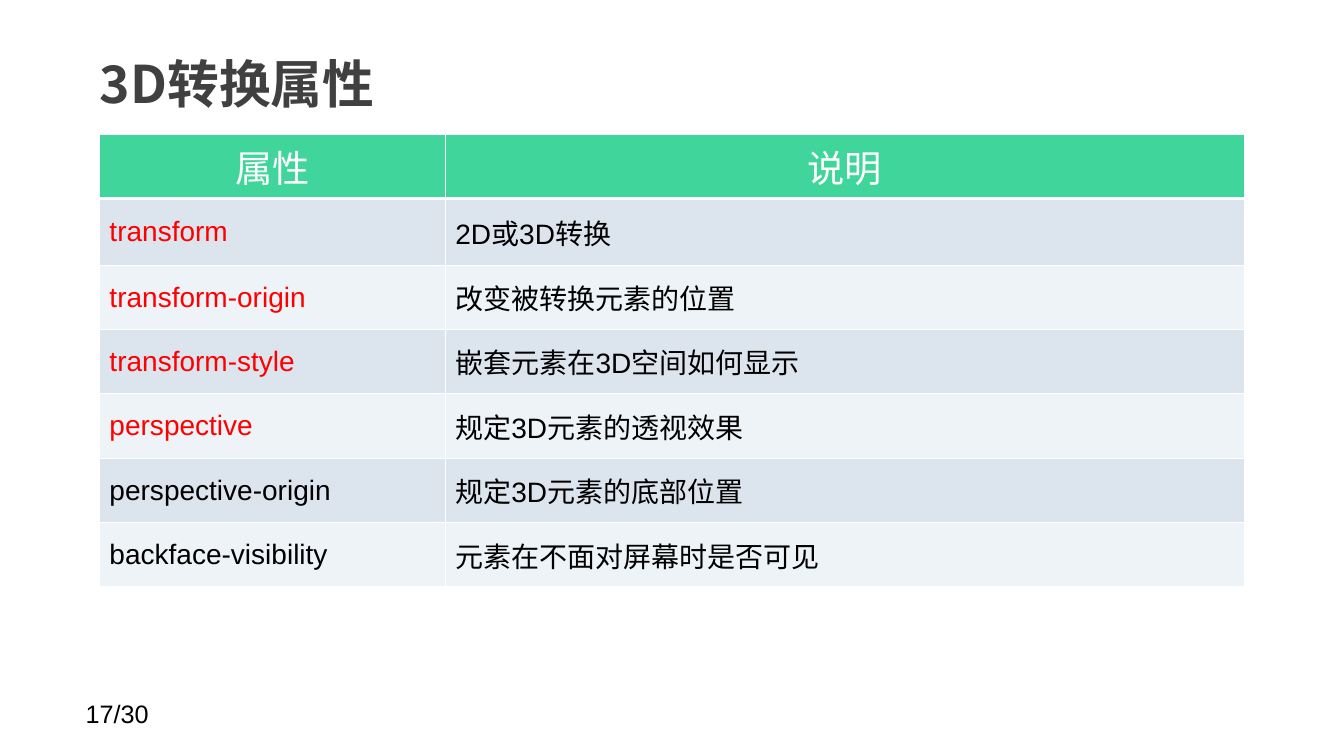
from dataclasses import dataclass

from lxml import etree
from pptx import Presentation
from pptx.dml.color import RGBColor
from pptx.enum import text as t
from pptx.oxml import ns
from pptx.util import Pt


@dataclass(frozen=True)
class Theme:
    latin: str = "Arial"
    chinese: str = "Noto Sans CJK SC"
    black: str = "000000"
    white: str = "FFFFFF"
    title: str = "404040"
    key: str = "FF0000"
    header: str = "40D59B"
    bands: tuple = ("DCE5EE", "EEF3F7")
    title_size: float = 37
    header_size: float = 26.6
    body_size: float = 20
    page_size: float = 18


theme = Theme()


def write(frame, text, size, color=theme.black, font=theme.latin, bold=False,
          align=t.PP_ALIGN.LEFT, before=0, margins=(9.4, 5)):
    """Put one formatted line of text into a text frame."""
    frame.margin_left = frame.margin_right = Pt(margins[0])
    frame.margin_top = frame.margin_bottom = Pt(margins[1])
    frame.word_wrap = True
    para = frame.paragraphs[0]
    para.alignment = align
    para.space_before = Pt(before)
    span = para.add_run()
    span.text = text
    span.font.size = Pt(size)
    span.font.bold = bold
    span.font.name = font
    span.font.color.rgb = RGBColor.from_string(color)
    east_asian = etree.SubElement(span.font._element, ns.qn("a:ea"))
    east_asian.set("typeface", theme.chinese)


def set_borders(cell, bottom):
    """Draw white cell borders, with the bottom width in points."""
    properties = cell._tc.get_or_add_tcPr()
    widths = {"lnL": 1, "lnR": 1, "lnT": 1, "lnB": bottom}
    for index, (side, width) in enumerate(widths.items()):
        line = etree.Element(ns.qn(f"a:{side}"), w=str(Pt(width)))
        fill = etree.SubElement(line, ns.qn("a:solidFill"))
        etree.SubElement(fill, ns.qn("a:srgbClr"), val=theme.white)
        properties.insert(index, line)


# Page
deck = Presentation()
deck.slide_width, deck.slide_height = Pt(960), Pt(540)
page = deck.slides.add_slide(deck.slide_layouts[5])

# Title
title = page.shapes.title
title.left, title.top, title.width, title.height = Pt(62), Pt(22), Pt(750), Pt(74)
title.text_frame.auto_size = t.MSO_AUTO_SIZE.NONE
title.text_frame.vertical_anchor = t.MSO_ANCHOR.MIDDLE
write(title.text_frame, "3D转换属性", theme.title_size, color=theme.title,
      font=theme.chinese, bold=True)

# Table of properties: name, description, highlighted or not
properties = [
    ("transform", "2D或3D转换", True),
    ("transform-origin", "改变被转换元素的位置", True),
    ("transform-style", "嵌套元素在3D空间如何显示", True),
    ("perspective", "规定3D元素的透视效果", True),
    ("perspective-origin", "规定3D元素的底部位置", False),
    ("backface-visibility", "元素在不面对屏幕时是否可见", False),
]
table = page.shapes.add_table(len(properties) + 1, 2, Pt(71), Pt(96),
                              Pt(818), Pt(318)).table
table.horz_banding = False
table.columns[0].width, table.columns[1].width = Pt(247), Pt(571)
for row, height in zip(table.rows, [42, 47.5] + [46] * 5):
    row.height = Pt(height)

# Header row
for cell, heading in zip(table.rows[0].cells, ("属性", "说明")):
    write(cell.text_frame, heading, theme.header_size, color=theme.white,
          align=t.PP_ALIGN.CENTER, before=5.3)
    cell.fill.solid()
    cell.fill.fore_color.rgb = RGBColor.from_string(theme.header)
    set_borders(cell, bottom=3)

# Body rows
for index, (name, description, highlighted) in enumerate(properties):
    name_color = theme.key if highlighted else theme.black
    entries = ((name, name_color), (description, theme.black))
    for cell, (text, color) in zip(table.rows[index + 1].cells, entries):
        write(cell.text_frame, text, theme.body_size, color=color)
        cell.vertical_anchor = t.MSO_ANCHOR.MIDDLE
        cell.fill.solid()
        cell.fill.fore_color.rgb = RGBColor.from_string(theme.bands[index % 2])
        set_borders(cell, bottom=1)

# Page number
number = page.shapes.add_textbox(Pt(54), Pt(495), Pt(168), Pt(29))
write(number.text_frame, "17/30", theme.page_size, margins=(7.2, 3.6))

deck.save("out.pptx")
